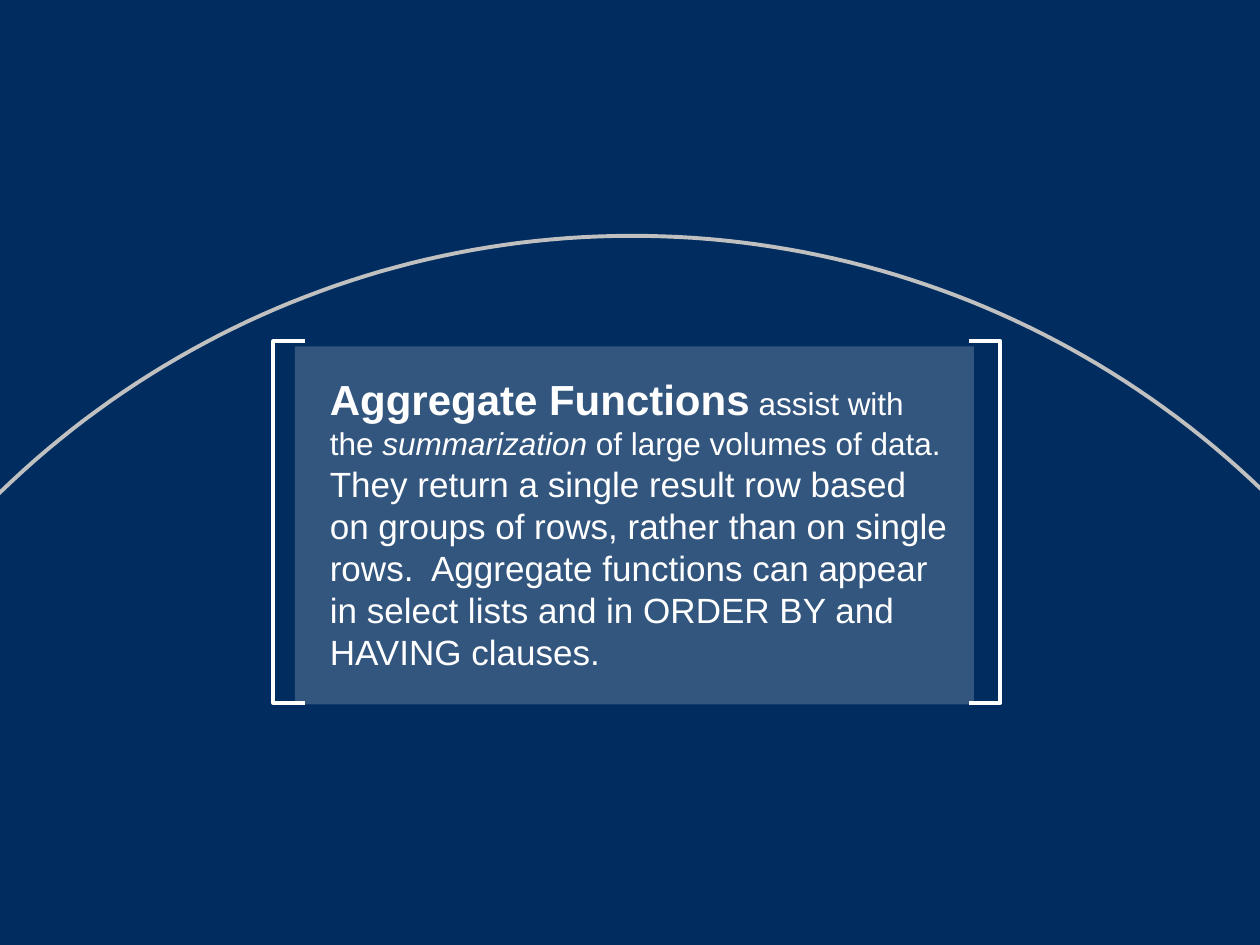
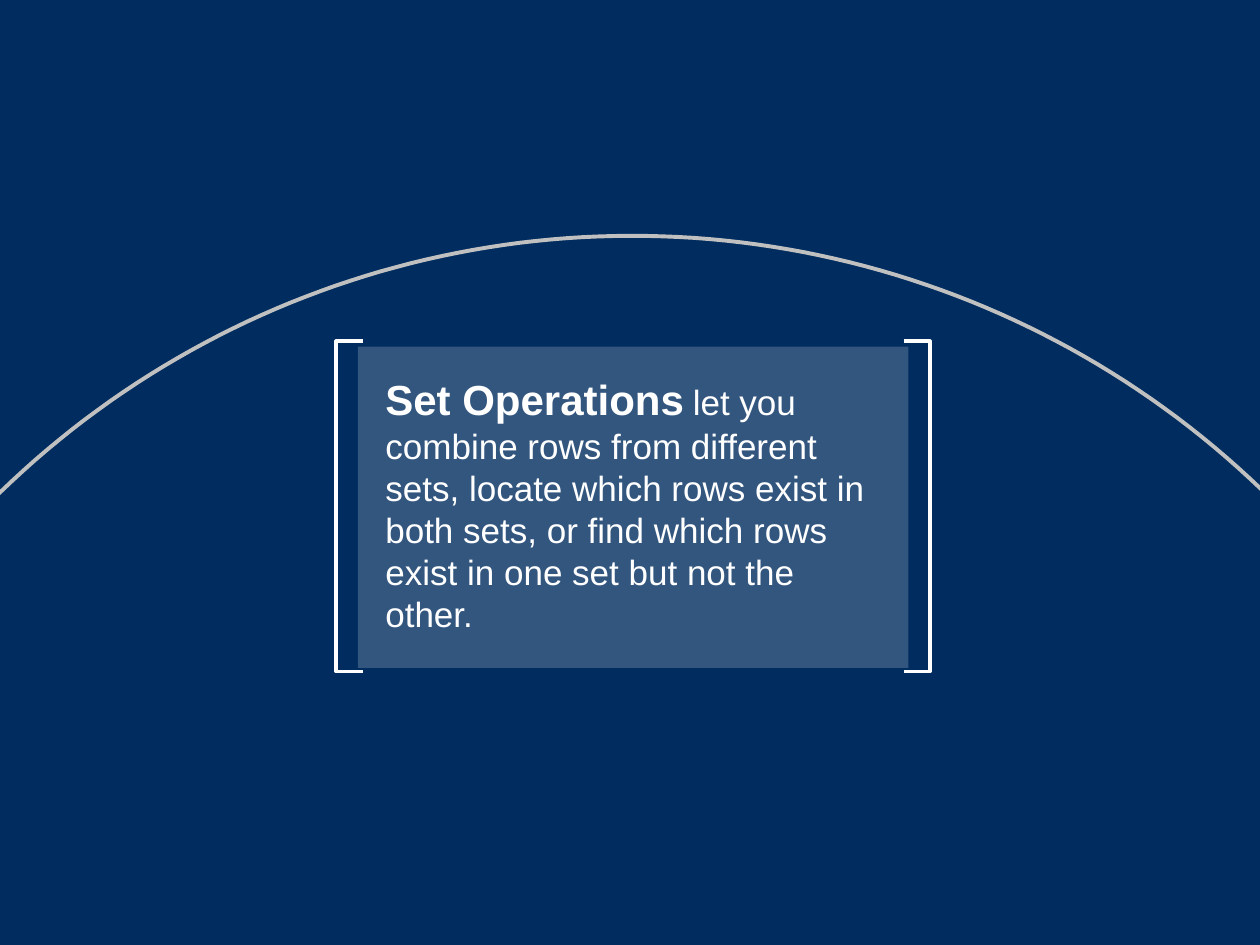
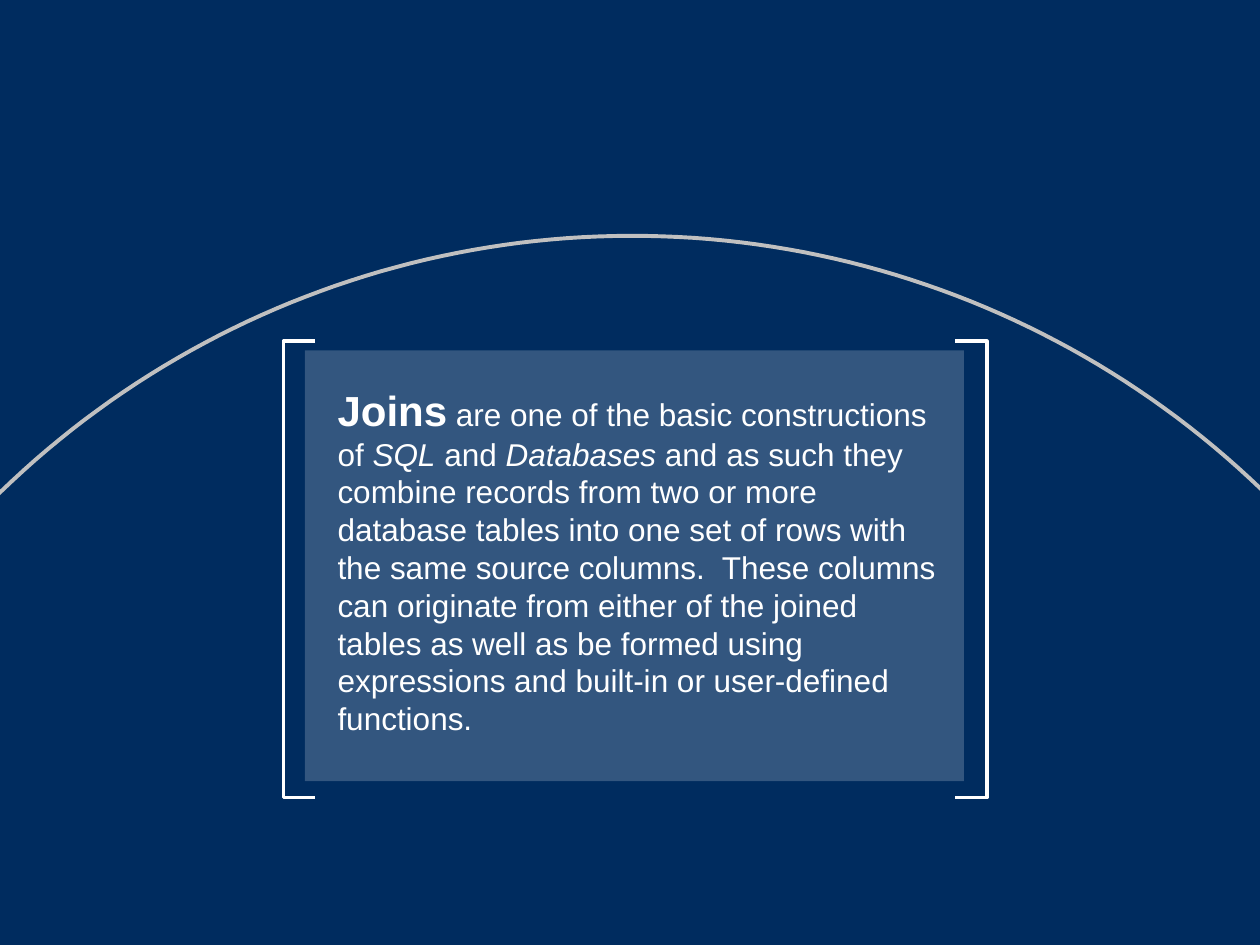
"""Build three slides that each define one SQL topic in a bracketed panel."""
from math import cos, pi, sin

from lxml.etree import SubElement
from pptx import Presentation
from pptx.dml.color import RGBColor
from pptx.enum.shapes import MSO_SHAPE
from pptx.enum.text import MSO_AUTO_SIZE
from pptx.oxml.ns import qn
from pptx.util import Pt

WIDTH, HEIGHT = 720, 540
COLORS = {"navy": "002C5F", "silver": "C0C0C0", "white": "FFFFFF"}
FONT = "Arial"
BRACKET_TOP = 195.1

TOPICS = [
    {
        "bracket": (156.2, 571.7, 206.6, 18),
        "panel": (168.5, 198, 388, 204.5),
        "text": (181.4, 210.2, 368.6, 177.8),
        "grow": True,
        "runs": [
            ("Aggregate Functions", 24, "b"),
            (" assist with the ", 18, ""),
            ("summarization", 18, "i"),
            (" of large volumes of data. ", 18, ""),
            ("They return a single result row based on groups of rows, rather "
             "than on single rows.  Aggregate functions can appear in select "
             "lists and in ORDER BY and HAVING clauses.", 20, ""),
        ],
    },
    {
        "bracket": (192.2, 531.4, 188.6, 15),
        "panel": (204.5, 198, 314.6, 183.6),
        "text": (213.1, 210.2, 296.6, 156.2),
        "grow": True,
        "runs": [
            ("Set Operations", 24, "b"),
            (" ", 18, ""),
            ("let you combine rows from different sets, locate which rows "
             "exist in both sets, or find which rows exist in one set but "
             "not the other.", 20, ""),
        ],
    },
    {
        "bracket": (162, 563.8, 260.6, 18),
        "panel": (174.2, 200.2, 376.6, 246.2),
        "text": (185.8, 216, 360, 233.3),
        "grow": False,
        "runs": [
            ("Joins", 24, "b"),
            (" are one of the basic constructions of ", 18, ""),
            ("SQL", 18, "i"),
            (" and ", 18, ""),
            ("Databases", 18, "i"),
            (" and as such they combine records from two or more database "
             "tables into one set of rows with the same source columns.  "
             "These columns can originate from either of the joined tables "
             "as well as be formed using expressions and built-in or "
             "user-defined functions.", 18, ""),
        ],
    },
]


class Deck:
    def __init__(self):
        self.prs = Presentation()
        self.prs.slide_width, self.prs.slide_height = Pt(WIDTH), Pt(HEIGHT)
        self.s = None

    def color(self, name):
        return RGBColor.from_string(COLORS[name])

    def new_slide(self):
        self.s = self.prs.slides.add_slide(self.prs.slide_layouts[6])
        self.rect((0, 0, WIDTH, HEIGHT), "navy")
        self.arc(101.5, 27.4, 518.4)

    def rect(self, box, color, opacity=100):
        sp = self.s.shapes.add_shape(MSO_SHAPE.RECTANGLE, *map(Pt, box))
        sp.shadow.inherit = False
        sp.line.fill.background()
        sp.fill.solid()
        sp.fill.fore_color.rgb = self.color(color)
        if opacity < 100:
            clr = sp.element.spPr.find(".//" + qn("a:srgbClr"))
            SubElement(clr, qn("a:alpha")).set("val", str(opacity * 1000))

    def outline(self, points, color):
        points = [(Pt(x), Pt(y)) for x, y in points]
        fb = self.s.shapes.build_freeform(*points[0])
        fb.add_line_segments(points[1:], close=False)
        sp = fb.convert_to_shape()
        sp.shadow.inherit = False
        sp.fill.background()
        sp.line.color.rgb = self.color(color)
        sp.line.width = Pt(2.25)
        return sp

    def arc(self, left, top, radius, steps=90):
        angles = [pi / 2 * i / steps for i in range(steps + 1)]
        points = [(left + radius * sin(a), top + radius * (1 - cos(a))) for a in angles]
        self.outline(points, "silver").rotation = 314.9

    def brackets(self, left, right, height, arm):
        bottom = BRACKET_TOP + height
        for x, tip in ((left, left + arm), (right, right - arm)):
            self.outline([(tip, BRACKET_TOP), (x, BRACKET_TOP), (x, bottom), (tip, bottom)],
                         "white")

    def text(self, box, runs, grow):
        tf = self.s.shapes.add_textbox(*map(Pt, box)).text_frame
        tf.word_wrap = True
        tf.auto_size = MSO_AUTO_SIZE.SHAPE_TO_FIT_TEXT if grow else MSO_AUTO_SIZE.NONE
        p = tf.paragraphs[0]
        if grow:
            p.space_before = Pt(5)
        for words, size, style in runs:
            r = p.add_run()
            r.text = words
            r.font.name = FONT
            r.font.size = Pt(size)
            r.font.bold = style == "b"
            r.font.italic = style == "i"
            r.font.color.rgb = self.color("white")


def main():
    deck = Deck()
    for topic in TOPICS:
        deck.new_slide()
        deck.brackets(*topic["bracket"])
        deck.rect(topic["panel"], "white", opacity=20)
        deck.text(topic["text"], topic["runs"], topic["grow"])
    deck.prs.save("out.pptx")


if __name__ == "__main__":
    main()
